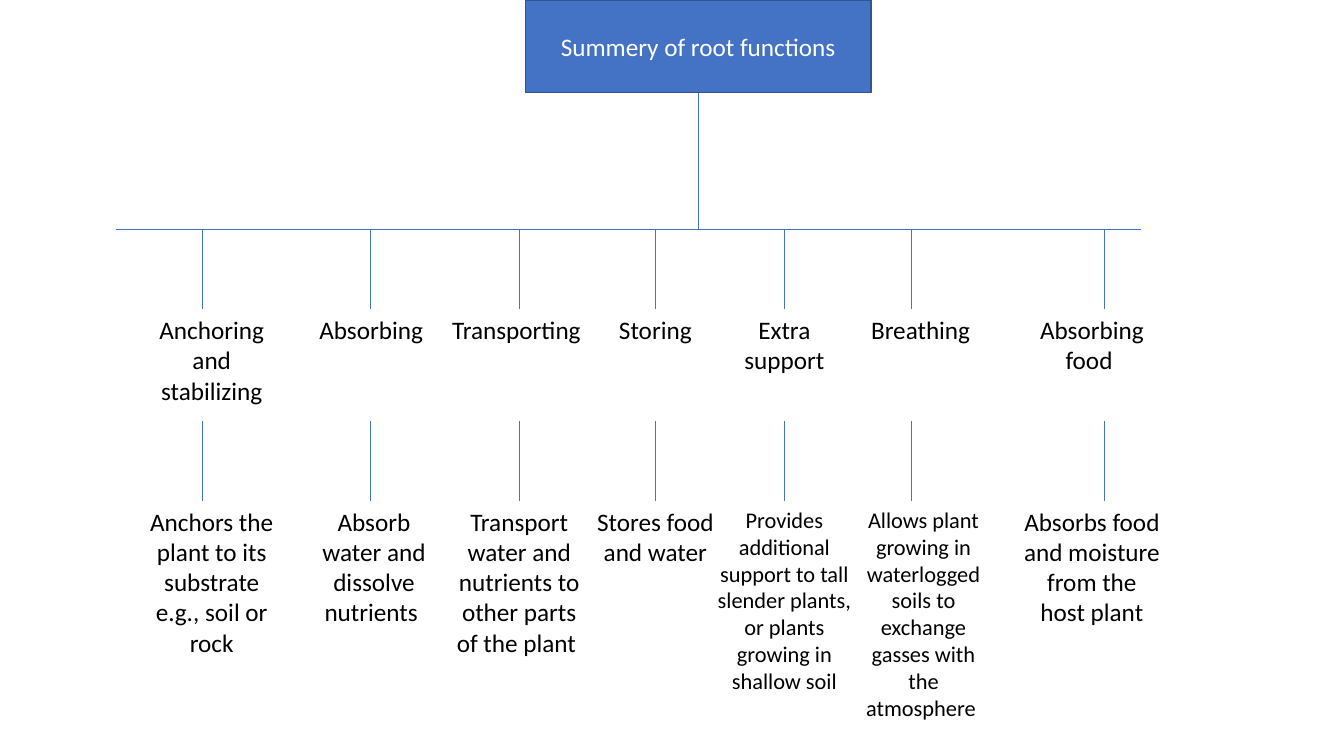
from lxml import etree
from pptx import Presentation
from pptx.dml.color import RGBColor
from pptx.enum.shapes import MSO_CONNECTOR, MSO_SHAPE
from pptx.enum.text import MSO_ANCHOR, MSO_AUTO_SIZE, PP_ALIGN
from pptx.oxml.ns import qn
from pptx.util import Inches, Pt

STRAIGHT, ELBOW = MSO_CONNECTOR.STRAIGHT, MSO_CONNECTOR.ELBOW
RECT = MSO_SHAPE.RECTANGLE
MIDDLE, TOP = MSO_ANCHOR.MIDDLE, MSO_ANCHOR.TOP
CENTER = PP_ALIGN.CENTER
GROW = MSO_AUTO_SIZE.SHAPE_TO_FIT_TEXT
BLUE = RGBColor(0x44, 0x72, 0xC4)
NAVY = RGBColor(0x32, 0x54, 0x91)
WHITE = RGBColor(0xFF, 0xFF, 0xFF)
BLACK = RGBColor(0, 0, 0)

WIDTH, STEM = 1.56, 0.79
TRUNK, BASE, RAIL = 6.93, 0.92, 2.28
NAMES, TASKS = 3.07, 4.97

ROOTS = [
    (1.32, 2.01, "Anchoring and stabilizing", 3,
     "Anchors the plant to its substrate e.g., soil or rock", 5, 18),
    (2.93, 3.67, "Absorbing ", 1,
     "Absorb water and dissolve nutrients ", 4, 18),
    (4.37, 5.15, "Transporting ", 1,
     "Transport water and nutrients to other parts of the plant ", 5, 18),
    (5.72, 6.5, "Storing", 1, "Stores food and water", 2, 18),
    (7, 7.78, "Extra support", 2,
     "Provides additional support to tall slender plants, "
     "or plants growing in shallow soil", 7, 16),
    (8.38, 9.04, "Breathing ", 1,
     "Allows plant growing in waterlogged soils to exchange gasses "
     "with the atmosphere ", 8, 16),
    (10.05, 10.95, "Absorbing food ", 2,
     "Absorbs food and moisture from the host plant", 4, 18),
]


def write(shape, text, size=18, color=BLACK, anchor=TOP):
    """Put centred, wrapped text into a shape."""
    frame = shape.text_frame
    frame.word_wrap = True
    frame.vertical_anchor = anchor
    para = frame.paragraphs[0]
    para.alignment = CENTER
    run = para.add_run()
    run.text = text
    run.font.name = "Calibri"
    run.font.size = Pt(size)
    run.font.color.rgb = color


class Chart:
    """Draw the parts of a tree chart on one slide."""

    def __init__(self, slide):
        self.shapes = slide.shapes

    def box(self, text, x, y, w, h):
        """Add the filled title box."""
        shape = self.shapes.add_shape(
            RECT, Inches(x), Inches(y), Inches(w), Inches(h))
        shape.shadow.inherit = False
        shape.fill.solid()
        shape.fill.fore_color.rgb = BLUE
        shape.line.color.rgb = NAVY
        shape.line.width = Pt(1)
        write(shape, text, color=WHITE, anchor=MIDDLE)

    def label(self, text, x, y, rows, size=18):
        """Add a text box as tall as its rows."""
        shape = self.shapes.add_textbox(
            Inches(x), Inches(y), Inches(WIDTH),
            Inches(0.1 + rows * size * 0.0169))
        write(shape, text, size=size)
        shape.text_frame.auto_size = GROW
        return shape

    def link(self, kind, x1, y1, x2, y2):
        """Add a thin blue connector."""
        line = self.shapes.add_connector(
            kind, Inches(x1), Inches(y1), Inches(x2), Inches(y2))
        line.line.color.rgb = BLUE
        line.line.width = Pt(0.5)
        etree.SubElement(line._element.spPr, qn("a:effectLst"))
        return line

    def stem(self, x, y, label):
        """Add a stem, joined to its label when centred on it."""
        line = self.link(STRAIGHT, x, y, x, y + STEM)
        if abs(label.left + label.width / 2 - Inches(x)) < Inches(0.01):
            line.end_connect(label, 0)

    def arm(self, end):
        """Add an elbow from the trunk down and out to one end of the rail."""
        drop, span = RAIL - BASE, abs(end - TRUNK)
        mid_x, mid_y = (TRUNK + end) / 2, (BASE + RAIL) / 2
        side = 1 if end < TRUNK else -1
        line = self.link(ELBOW, mid_x - side * drop / 2, mid_y - span / 2,
                         mid_x + side * drop / 2, mid_y + span / 2)
        props = line._element.spPr
        props.find(qn("a:xfrm")).set("rot", str(side * 90 % 360 * 60000))
        props.find(qn("a:prstGeom")).set("prst", "bentConnector2")


def main():
    """Build and save the slide."""
    deck = Presentation()
    deck.slide_width, deck.slide_height = Inches(13.33), Inches(7.5)
    chart = Chart(deck.slides.add_slide(deck.slide_layouts[6]))
    chart.box("Summery of root functions", 5.21, 0, 3.43, BASE)
    for end in (1.15, 11.32):
        chart.arm(end)
    for left, mid, name, lines, task, rows, size in ROOTS:
        head = chart.label(name, left, NAMES, lines)
        chart.stem(mid, RAIL, head)
        body = chart.label(task, left, TASKS, rows, size=size)
        chart.stem(mid, TASKS - STEM, body)
    deck.save("out.pptx")


if __name__ == "__main__":
    main()
